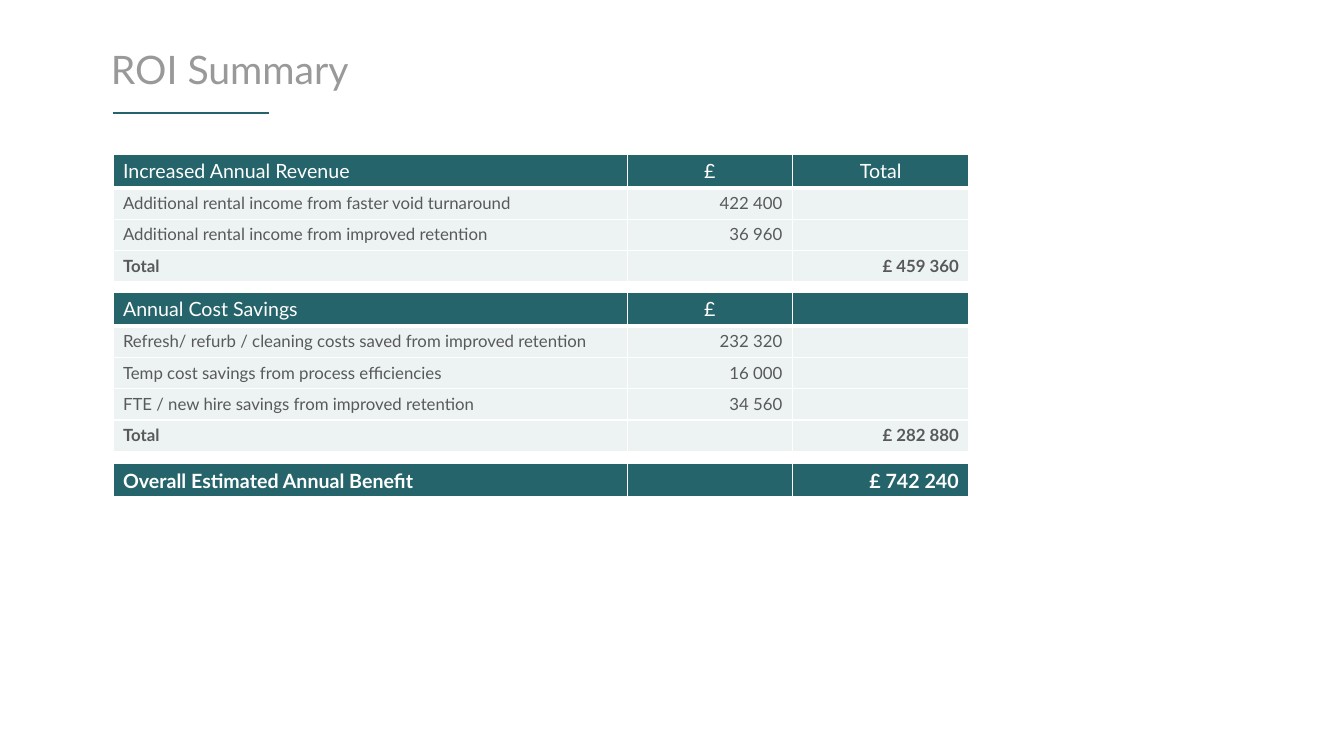
from lxml import etree
from pptx import Presentation
from pptx.dml.color import RGBColor
from pptx.enum import shapes, text
from pptx.oxml import ns
from pptx.util import Inches, Pt

# Content: each table is a list of rows; the first row is the banner
HEADING = "ROI Summary"
REVENUE = [
    ("Increased Annual Revenue", "£", "Total"),
    ("Additional rental income from faster void turnaround", "422 400", ""),
    ("Additional rental income from improved retention", "36 960", ""),
    ("Total", "", "£ 459 360"),
]
SAVINGS = [
    ("Annual Cost Savings", "£", ""),
    ("Refresh/ refurb / cleaning costs saved from improved retention", "232 320", ""),
    ("Temp cost savings from process efficiencies", "16 000", ""),
    ("FTE / new hire savings from improved retention", "34 560", ""),
    ("Total", "", "£ 282 880"),
]
BENEFIT = [("Overall Estimated Annual Benefit", "", "£ 742 240")]
TABLES = [(1.53, REVENUE), (2.9, SAVINGS), (4.6, BENEFIT)]

# Style
FONT = "Lato"
TEAL = RGBColor(0x25, 0x64, 0x6A)
MINT = RGBColor(0xEC, 0xF3, 0xF2)
WHITE = RGBColor(0xFF, 0xFF, 0xFF)
GREY = RGBColor(0x59, 0x59, 0x59)
LIGHT_GREY = RGBColor(0x99, 0x99, 0x99)

# Grid, in inches
LEFT = 1.12
COLUMNS = (5.1, 1.64, 1.75)
BANNER_HEIGHT, ROW_HEIGHT = 0.33, 0.31
RULE_TOP, RULE_LENGTH = 1.12, 1.55


def style_font(font, size, color, bold=False):
    font.name, font.size, font.bold = FONT, Pt(size), bold
    font.color.rgb = color


def set_borders(cell, bottom_width):
    """Draw white cell borders, placed ahead of the fill."""
    properties = cell._tc.get_or_add_tcPr()
    widths = {"a:lnL": 1, "a:lnR": 1, "a:lnT": 1, "a:lnB": bottom_width}
    for position, (side, width) in enumerate(widths.items()):
        border = etree.Element(ns.qn(side), w=str(Pt(width)))
        fill = etree.SubElement(border, ns.qn("a:solidFill"))
        etree.SubElement(fill, ns.qn("a:srgbClr"), val=str(WHITE))
        properties.insert(position, border)


def fill_cell(cell, wording, column, is_banner, is_bold):
    cell.fill.solid()
    cell.fill.fore_color.rgb = TEAL if is_banner else MINT
    set_borders(cell, 3 if is_banner else 1)
    size = 14 if is_banner else 12
    cell.text_frame.text = wording
    line = cell.text_frame.paragraphs[0]
    if column == 0:
        line.alignment = text.PP_ALIGN.LEFT
    elif is_banner and not is_bold:
        line.alignment = text.PP_ALIGN.CENTER
    else:
        line.alignment = text.PP_ALIGN.RIGHT
    for run in line.runs:
        style_font(run.font, size, WHITE if is_banner else GREY, is_bold)
    if not wording:  # keeps empty cells from stretching their row
        etree.SubElement(line._p, ns.qn("a:endParaRPr"), sz=str(size * 100))


def add_summary_table(slide, top, rows):
    heights = [BANNER_HEIGHT] + [ROW_HEIGHT] * (len(rows) - 1)
    table = slide.shapes.add_table(
        len(rows), len(COLUMNS), Inches(LEFT), Inches(top),
        Inches(sum(COLUMNS)), Inches(sum(heights))).table
    table.horz_banding = False
    table.first_row = len(rows) > 1
    for column, width in zip(table.columns, COLUMNS):
        column.width = Inches(width)
    for r, (row, height) in enumerate(zip(rows, heights)):
        table.rows[r].height = Inches(height)
        is_bold = r == len(rows) - 1
        for c, wording in enumerate(row):
            fill_cell(table.cell(r, c), wording, c, r == 0, is_bold)


def main():
    deck = Presentation()
    deck.slide_width, deck.slide_height = Inches(13.33), Inches(7.5)
    slide = deck.slides.add_slide(deck.slide_layouts[5])

    # Heading
    heading = slide.shapes.title
    heading.left, heading.top = Inches(1), Inches(0.4)
    heading.width, heading.height = Inches(5.74), Inches(0.63)
    frame = heading.text_frame
    frame.text = HEADING
    frame.auto_size = text.MSO_AUTO_SIZE.NONE
    frame.vertical_anchor = text.MSO_ANCHOR.MIDDLE
    line = frame.paragraphs[0]
    line.alignment = text.PP_ALIGN.LEFT
    line.line_spacing = 0.9
    style_font(line.runs[0].font, 28, LIGHT_GREY)

    # Rule under the heading
    rule = slide.shapes.add_connector(
        shapes.MSO_CONNECTOR.STRAIGHT, Inches(LEFT), Inches(RULE_TOP),
        Inches(LEFT + RULE_LENGTH), Inches(RULE_TOP))
    rule.line.color.rgb = TEAL
    rule.line.width = Pt(1.5)
    etree.SubElement(rule._element.spPr, ns.qn("a:effectLst"))

    # Tables
    for top, rows in TABLES:
        add_summary_table(slide, top, rows)

    deck.save("out.pptx")


if __name__ == "__main__":
    main()
